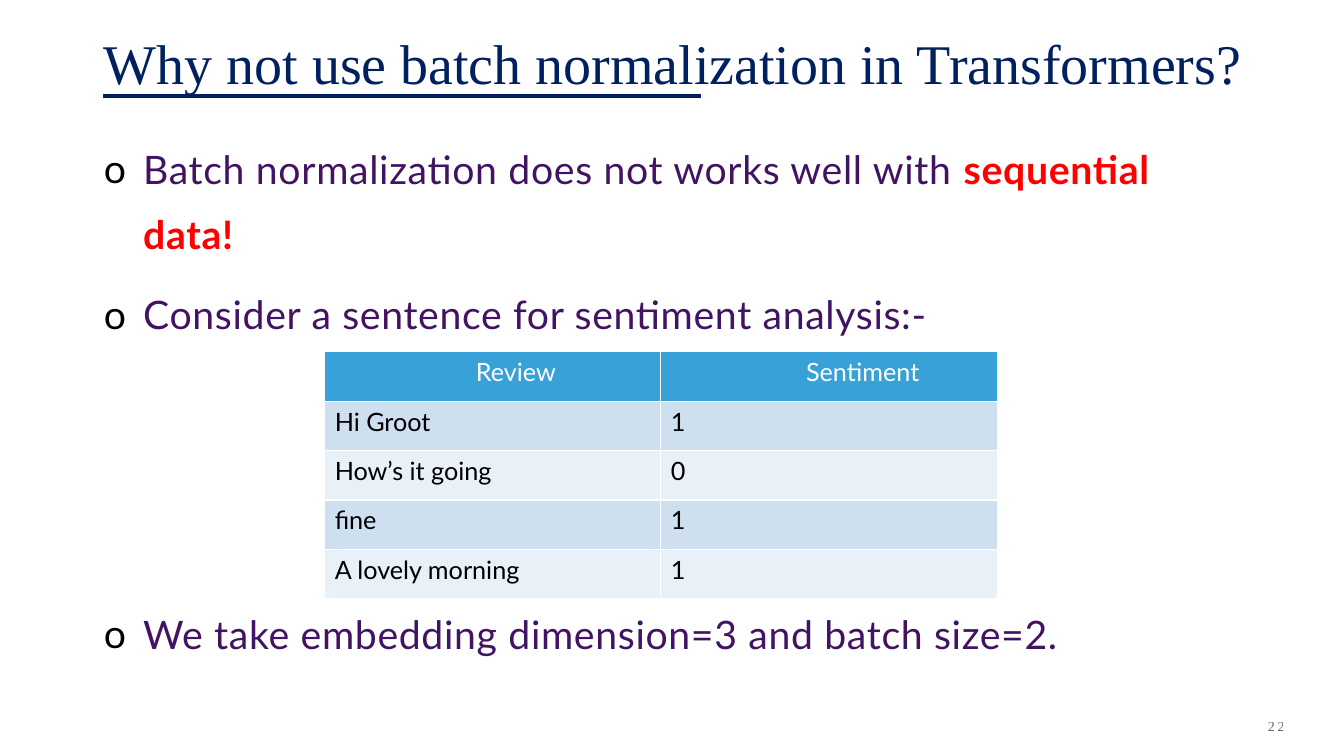
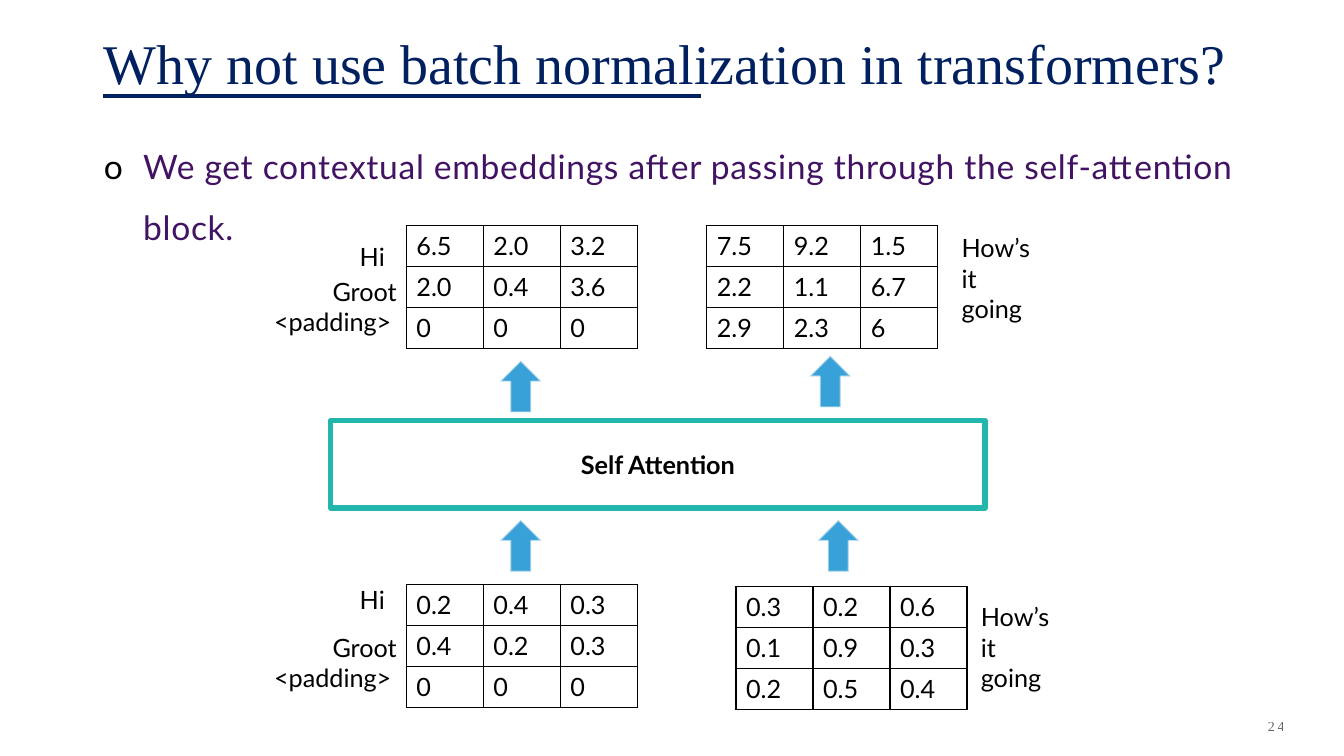
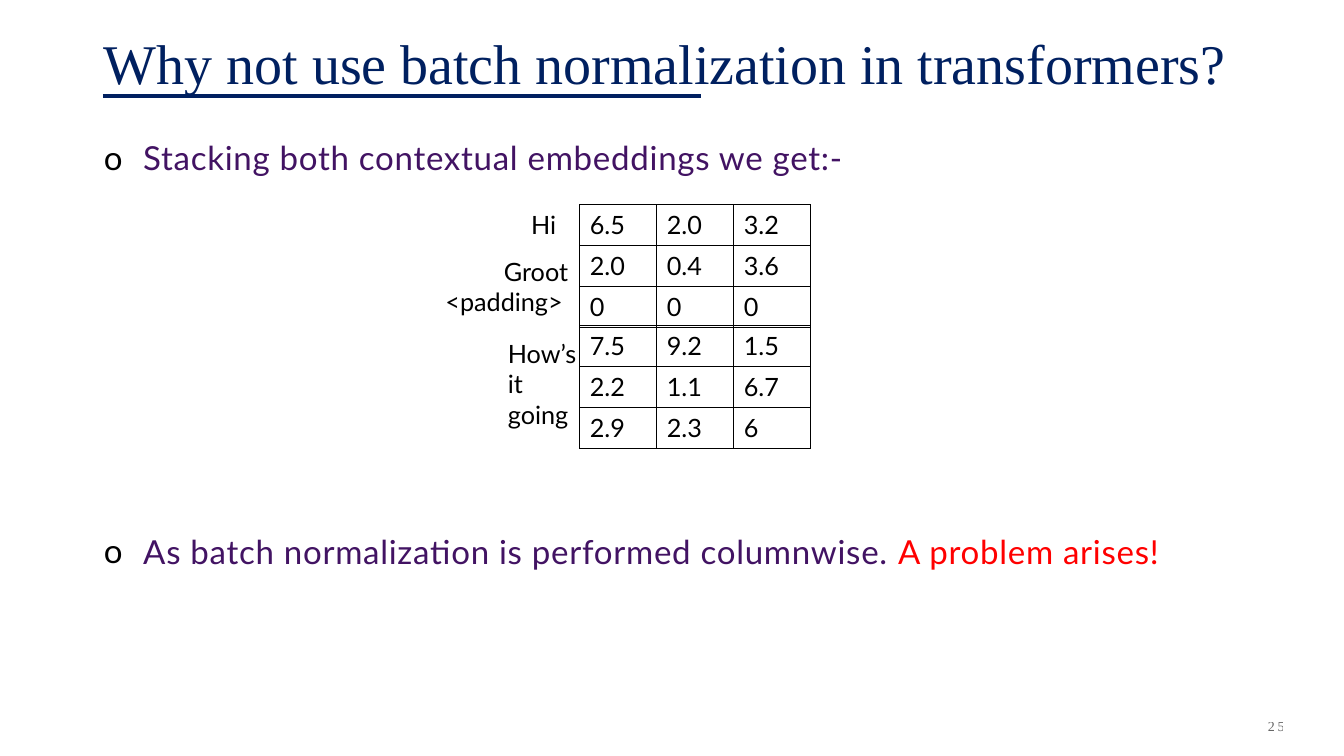
from lxml.etree import SubElement
from pptx import Presentation
from pptx.dml.color import RGBColor
from pptx.enum.shapes import MSO_CONNECTOR, MSO_SHAPE
from pptx.enum.text import MSO_ANCHOR, MSO_AUTO_SIZE, PP_ALIGN
from pptx.oxml.ns import qn
from pptx.util import Inches, Pt

NAVY, PURPLE, RED, TEAL, BLUE = "002060", "421363", "FF0000", "23B6AC", "38A1D8"
BLACK, WHITE, PALE = "000000", "FFFFFF", "F9F9F9"
BANDS = ["CEE0F0", "E8F0F8"]
SERIF, SANS = "Times New Roman", "Lato"

# Label paragraphs as (text, left indent)
HI = [("Hi", 0.71)]
GROOT = [("Groot", 0.71), ("<padding>", 0.13)]
HOWS = [("How’s", 0.13), ("it", 0.13), ("going", 0.13)]

# Word embeddings of the two sentences, before and after self attention
INPUT_1 = [["0.2", "0.4", "0.3"], ["0.4", "0.2", "0.3"], ["0", "0", "0"]]
INPUT_2 = [["0.3", "0.2", "0.6"], ["0.1", "0.9", "0.3"], ["0.2", "0.5", "0.4"]]
CONTEXT_1 = [["6.5", "2.0", "3.2"], ["2.0", "0.4", "3.6"], ["0", "0", "0"]]
CONTEXT_2 = [["7.5", "9.2", "1.5"], ["2.2", "1.1", "6.7"], ["2.9", "2.3", "6"]]


def rgb(color):
    return RGBColor.from_string(color)


def box(left, top, width, height):
    return [Inches(v) for v in (left, top, width, height)]


def set_alpha(parent, percent):
    for clr in parent.iter(qn("a:srgbClr")):
        SubElement(clr, qn("a:alpha"), val=str(percent * 1000))


def add_run(p, text, size=18, color=BLACK, font=SANS, bold=False, spacing=0):
    r = p.add_run()
    r.text = text
    r.font.size, r.font.name, r.font.bold = Pt(size), font, bold
    r.font.color.rgb = rgb(color)
    if spacing:
        r.font._element.set("spc", str(int(spacing * 100)))
    return r


def set_indent(p, left, first=0):
    pPr = p._p.get_or_add_pPr()
    pPr.set("marL", str(Inches(left)))
    pPr.set("indent", str(Inches(first)))
    return pPr


def set_up_layout(layout):
    """Title and body boxes shared by every slide."""
    frames = [(0.93, -0.22, 11.53, 1.22), (0.93, 1.2, 11.53, 5.67)]
    anchors = [MSO_ANCHOR.BOTTOM, MSO_ANCHOR.TOP]
    for idx, (frame, anchor) in enumerate(zip(frames, anchors)):
        sp = layout.placeholders[idx]
        sp.left, sp.top, sp.width, sp.height = box(*frame)
        sp.text_frame.vertical_anchor = anchor
        sp.text_frame.auto_size = MSO_AUTO_SIZE.NONE


def add_base(prs, title, number):
    """New slide with title, rule under the title and slide number."""
    s = prs.slides.add_slide(prs.slide_layouts[1])
    rule = s.shapes.add_connector(MSO_CONNECTOR.STRAIGHT, Inches(1.02), Inches(0.95),
                                  Inches(6.95), Inches(0.95))
    rule.line.color.rgb, rule.line.width = rgb(NAVY), Pt(2.5)
    SubElement(rule._element.spPr, qn("a:effectLst"))

    p = s.shapes.title.text_frame.paragraphs[0]
    p.alignment = PP_ALIGN.LEFT
    add_run(p, title, 40, NAVY, SERIF)

    tf = s.shapes.add_textbox(*box(10.92, 6.95, 1.92, 0.5)).text_frame
    tf.word_wrap, tf.vertical_anchor = True, MSO_ANCHOR.MIDDLE
    p = tf.paragraphs[0]
    p.alignment = PP_ALIGN.RIGHT
    r = add_run(p, str(number), 10, BLACK, SERIF, spacing=2)
    set_alpha(r.font._element, 60)
    return s


def fill_body(s, bullets, size, line_spacing):
    """Bullets as (space before, [(text, color, bold), ...])."""
    tf = s.placeholders[1].text_frame
    for i, (before, runs) in enumerate(bullets):
        p = tf.add_paragraph() if i else tf.paragraphs[0]
        pPr = set_indent(p, 0.39, -0.39)
        SubElement(SubElement(pPr, qn("a:buClr")), qn("a:srgbClr"), val=BLACK)
        SubElement(pPr, qn("a:buFont"), typeface=SANS)
        SubElement(pPr, qn("a:buChar"), char="o")
        p.line_spacing, p.space_before = line_spacing, Pt(before)
        for text, color, bold in runs:
            add_run(p, text, size, color, bold=bold, spacing=0.5)


def add_grid(s, left, top, col_width, row_height, rows, border):
    """Unstyled table with a 1 pt border round each cell."""
    n_rows, n_cols = len(rows), len(rows[0])
    frame = s.shapes.add_table(n_rows, n_cols, *box(
        left, top, col_width * n_cols, row_height * n_rows))
    table = frame.table
    table.first_row = table.horz_banding = False
    for col in table.columns:
        col.width = Inches(col_width)
    for row, values in zip(table.rows, rows):
        row.height = Inches(row_height)
        for cell, text in zip(row.cells, values):
            tcPr = cell._tc.get_or_add_tcPr()
            for side in ("lnL", "lnR", "lnT", "lnB"):
                ln = SubElement(tcPr, qn("a:" + side), w=str(Pt(1)))
                SubElement(SubElement(ln, qn("a:solidFill")), qn("a:srgbClr"), val=border)
            cell.fill.background()
            add_run(cell.text_frame.paragraphs[0], text)
    return table


def add_matrix(s, left, top, rows):
    add_grid(s, left, top, 0.764, 0.407, rows, BLACK)


def add_reviews(s, left, top):
    """Review table with a blue header and banded rows."""
    rows = [["Review", "Sentiment"], ["Hi Groot", "1"], ["How’s it going", "0"],
            ["fine", "1"], ["A lovely morning", "1"]]
    table = add_grid(s, left, top, 3.335, 0.49, rows, WHITE)
    for i, row in enumerate(table.rows):
        for cell in row.cells:
            cell.fill.solid()
            cell.fill.fore_color.rgb = rgb(BANDS[(i - 1) % 2] if i else BLUE)
    for cell, indent in zip(table.rows[0].cells, (1.4, 1.34)):
        p = cell.text_frame.paragraphs[0]
        set_indent(p, indent)
        p.runs[0].font.color.rgb = rgb(WHITE)


def add_label(s, left, top, width, lines):
    tf = s.shapes.add_textbox(*box(left, top, width, 0.1 + 0.3 * len(lines))).text_frame
    tf.word_wrap = True
    for i, (text, indent) in enumerate(lines):
        p = tf.add_paragraph() if i else tf.paragraphs[0]
        set_indent(p, indent)
        add_run(p, text)


def add_first_labels(s, left, hi_top, groot_top):
    """Word labels left of the first sentence's matrix."""
    add_label(s, left + 0.27, hi_top, 1.16, HI)
    add_label(s, left, groot_top, 1.7, GROOT)


def add_solid(s, kind, frame, fill, line, width):
    sp = s.shapes.add_shape(kind, *box(*frame))
    sp.shadow.inherit = False
    sp.fill.solid()
    sp.fill.fore_color.rgb = rgb(fill)
    sp.line.color.rgb, sp.line.width = rgb(line), Pt(width)
    return sp


def add_attention(s, left, top):
    """Self attention block with arrows going in and out."""
    sp = add_solid(s, MSO_SHAPE.RECTANGLE, (left, top, 6.49, 0.87), WHITE, TEAL, 3.75)
    tf = sp.text_frame
    tf.vertical_anchor = MSO_ANCHOR.MIDDLE
    p = tf.paragraphs[0]
    p.alignment = PP_ALIGN.CENTER
    add_run(p, "Self Attention", bold=True)
    for dx, dy in [(1.68, -0.59), (4.75, -0.64), (1.68, 0.99), (4.83, 0.99)]:
        arrow = add_solid(s, MSO_SHAPE.UP_ARROW, (left + dx, top + dy, 0.41, 0.51),
                          BLUE, PALE, 1.35)
        set_alpha(arrow.line._get_or_add_ln(), 50)


def build_reviews(prs):
    s = add_base(prs, "Why not use batch normalization in Transformers?", 22)
    fill_body(s, [
        (0, [("Batch normalization does not works well with ", PURPLE, False),
             ("sequential data!", RED, True)]),
        (10, [("Consider a sentence for sentiment analysis:-", PURPLE, False)]),
        (181, [("We take embedding dimension=3 and batch size=2.", PURPLE, False)]),
    ], 28, 1.4)
    add_reviews(s, 3.22, 3.49)


def build_attention(prs, title):
    s = add_base(prs, title, 24)
    fill_body(s, [(0, [("We get contextual embeddings after passing through the "
                        "self-attention block.", PURPLE, False)])], 24, 1.5)
    add_attention(s, 3.28, 4.17)
    for left, top, rows in [(4.03, 2.24, CONTEXT_1), (7.01, 2.24, CONTEXT_2),
                            (4.03, 5.8, INPUT_1), (7.3, 5.82, INPUT_2)]:
        add_matrix(s, left, top, rows)
    add_first_labels(s, 2.49, 2.34, 2.69)
    add_first_labels(s, 2.49, 5.75, 6.22)
    add_label(s, 9.31, 2.26, 1.53, HOWS)
    add_label(s, 9.5, 5.92, 1.53, HOWS)


def build_stacked(prs, title):
    s = add_base(prs, title, 25)
    fill_body(s, [
        (0, [("Stacking both contextual embeddings we get:-", PURPLE, False)]),
        (244, [("As batch normalization is performed columnwise. ", PURPLE, False),
               ("A problem arises!", RED, False)]),
    ], 23.6, 1.3)
    add_matrix(s, 5.75, 2.03, CONTEXT_1)
    add_matrix(s, 5.75, 3.23, CONTEXT_2)
    add_first_labels(s, 4.19, 2.03, 2.49)
    add_label(s, 4.81, 3.31, 1.53, HOWS)


def main():
    prs = Presentation()
    prs.slide_width, prs.slide_height = Inches(13.33), Inches(7.5)
    set_up_layout(prs.slide_layouts[1])
    title = "Why not use batch normalization in transformers?"
    build_reviews(prs)
    build_attention(prs, title)
    build_stacked(prs, title)
    prs.save("out.pptx")


if __name__ == "__main__":
    main()
